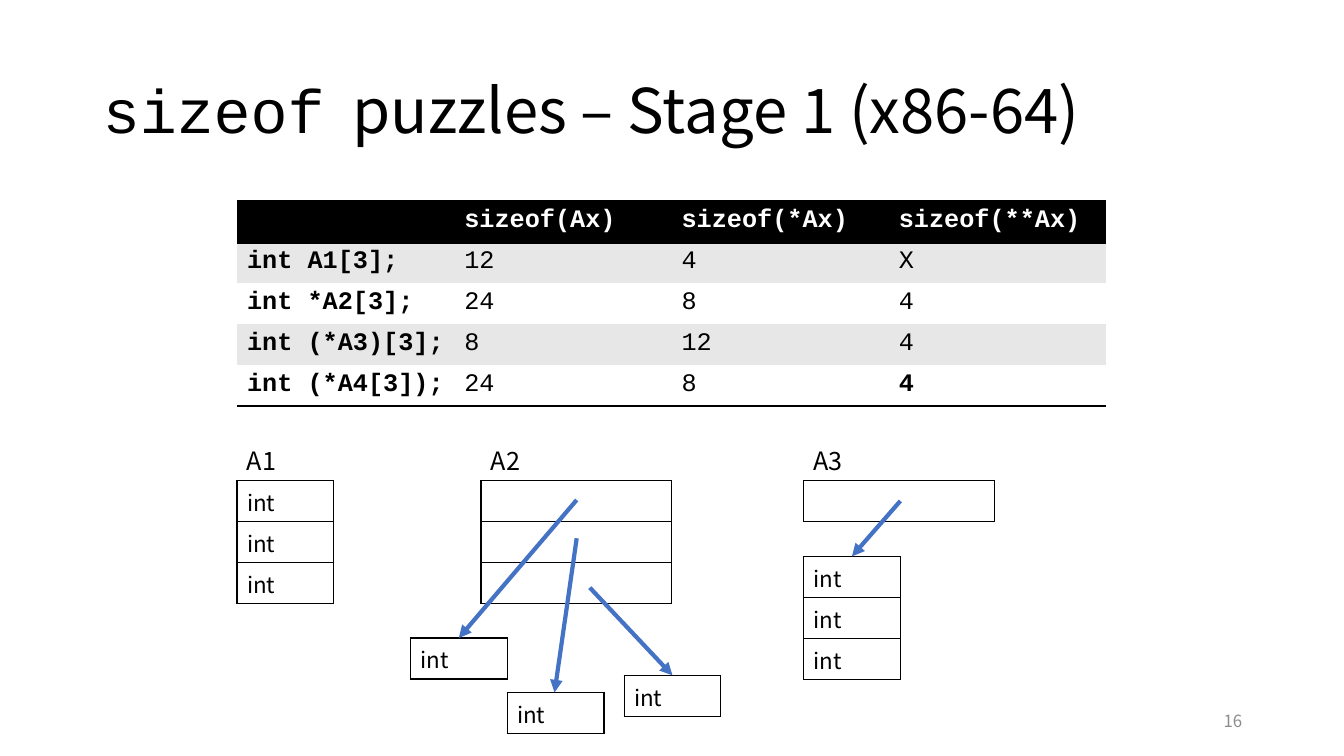
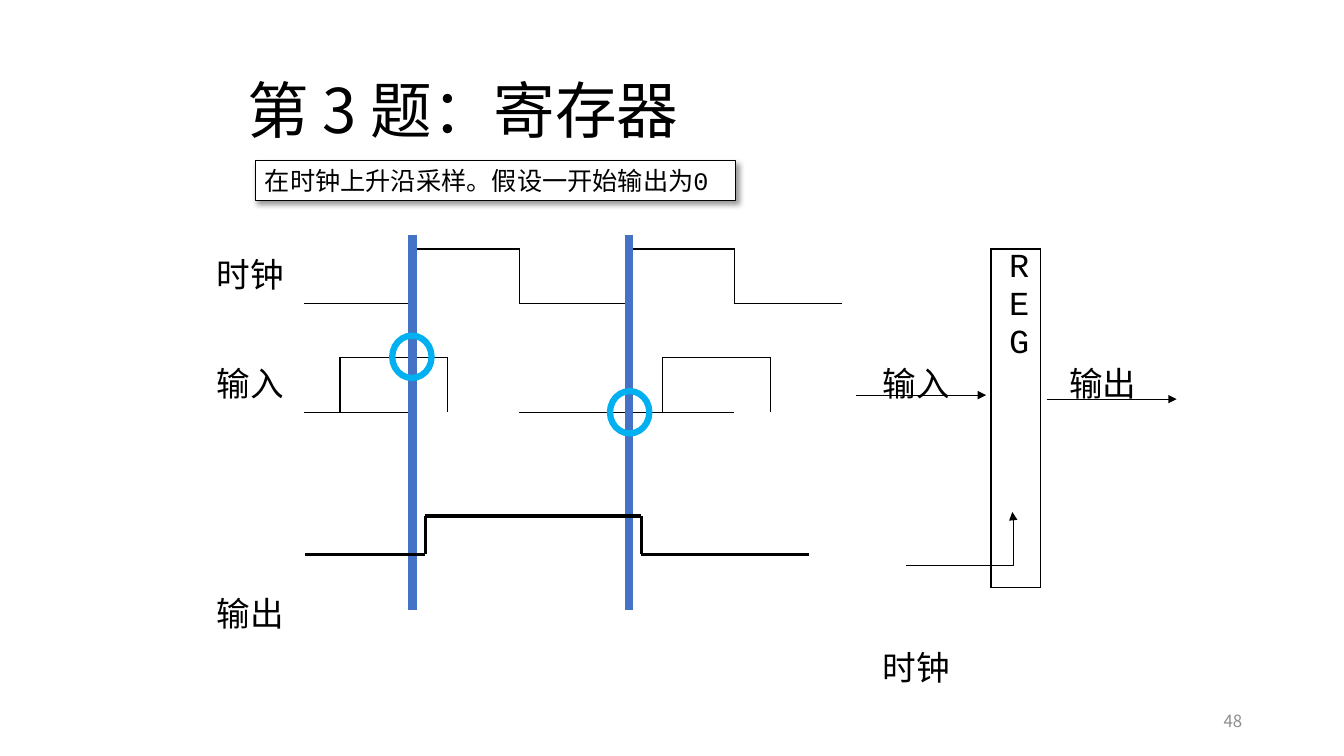
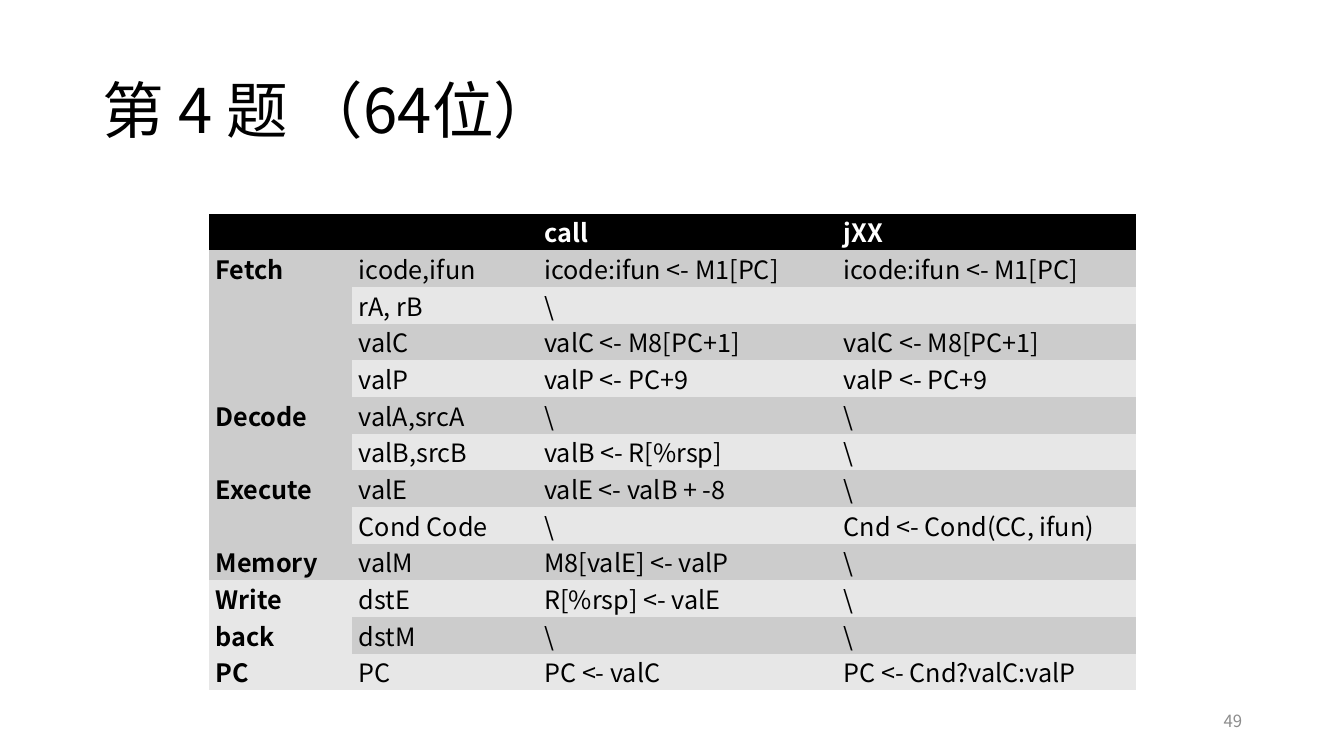
from itertools import pairwise, product

from lxml.etree import SubElement
from pptx import Presentation
from pptx.dml.color import RGBColor
from pptx.enum.shapes import MSO_CONNECTOR as LINK, MSO_SHAPE as SHAPE
from pptx.enum.text import MSO_ANCHOR as ANCHOR, PP_ALIGN as ALIGN
from pptx.oxml.ns import qn
from pptx.oxml.xmlchemy import OxmlElement
from pptx.util import Inches, Pt

SANS, MONO = "Noto Sans CJK SC", "Courier New"
BLACK = RGBColor(0x00, 0x00, 0x00)
WHITE = RGBColor(0xFF, 0xFF, 0xFF)
LIGHT = RGBColor(0xE7, 0xE7, 0xE7)
MEDIUM = RGBColor(0xCC, 0xCC, 0xCC)
GRAY = RGBColor(0x8C, 0x8C, 0x8C)
BLUE = RGBColor(0x44, 0x72, 0xC4)
CYAN = RGBColor(0x00, 0xB0, 0xF0)
SIDES = "LRTB"
NO_STYLE = "{2D5ABB26-0587-4C30-8999-92F81FD0307C}"

SIZEOF_ROWS = [
    ("", "sizeof(Ax)", "sizeof(*Ax)", "sizeof(**Ax)"),
    ("int A1[3];", "12", "4", "X"),
    ("int *A2[3];", "24", "8", "4"),
    ("int (*A3)[3];", "8", "12", "4"),
    ("int (*A4[3]);", "24", "8", "4"),
]
SIZEOF_WIDTH, SIZEOF_HEIGHT = 8.62, 2.03
CELL_HEIGHT = SIZEOF_HEIGHT / len(SIZEOF_ROWS)
INT_WIDTH, POINTER_WIDTH = 0.96, 1.89
ARRAY_LABELS = [("A1", 2.35), ("A2", 4.77), ("A3", 7.97)]
MEMORY_BLOCKS = [
    (2.35, 4.77, INT_WIDTH, ["int"] * 3),
    (4.77, 4.77, POINTER_WIDTH, [""] * 3),
    (4.07, 6.33, INT_WIDTH, ["int"]),
    (5.03, 6.87, INT_WIDTH, ["int"]),
    (6.19, 6.7, INT_WIDTH, ["int"]),
    (7.97, 4.77, POINTER_WIDTH, [""]),
    (7.97, 5.52, INT_WIDTH, ["int"] * 3),
]
POINTERS = [
    ((5.72, 4.96), (4.55, 6.33)),
    ((5.72, 5.34), (5.5, 6.87)),
    ((5.85, 5.83), (6.67, 6.7)),
    ((8.93, 4.97), (8.45, 5.52)),
]

WAVE_WIDTH, REG_WIDTHS, TICKS = 9.61, [1.48, 0.49, 1.24], 3
HALF_CYCLE = (WAVE_WIDTH - sum(REG_WIDTHS)) / 6
TICK_WIDTHS = [HALF_CYCLE / TICKS] * 2 * TICKS
WAVE_WIDTHS = [HALF_CYCLE, *TICK_WIDTHS, HALF_CYCLE, *TICK_WIDTHS, *REG_WIDTHS]
WAVE_ROWS, REG_ROWS, REG_COLUMN = 7, 5, 15
WAVE_TEXT = {
    (0, 0): "时钟", (2, 0): "输入", (5, 0): "输出",
    (2, 14): "输入", (2, 16): "输出", (6, 14): "时钟",
    (0, REG_COLUMN): "R\nE\nG",
}
WAVE_SPANS = {
    0: (1, 4, 8), 1: (1, 4, 8, 11), 3: (1, 4, 8, 11),
    4: (1, 4, 8, 11), 5: (1, 4, 8), 6: (1, 4, 8, 11),
}
WAVE_LEVELS = [
    (1, 1, 4), (0, 4, 7), (1, 7, 8), (0, 8, 11), (1, 11, 14),
    (3, 1, 4), (2, 2, 5), (3, 7, 11), (2, 9, 12),
    (0, 15, 16), (5, 15, 16),
]
WAVE_EDGES = [
    (4, 0, 1), (7, 0, 1), (8, 0, 1), (11, 0, 1),
    (2, 2, 3), (5, 2, 3), (9, 2, 3), (12, 2, 3),
    (15, 0, 5), (16, 0, 5),
]
REG_ARROWS = [
    (LINK.STRAIGHT, (8.49, 3.92), (9.78, 3.92)),
    (LINK.STRAIGHT, (10.38, 3.96), (11.67, 3.96)),
    (LINK.ELBOW, (8.99, 5.61), (10.04, 5.08)),
]
RISING_EDGES = [4.09, 6.24]
OUTPUT_WAVE = [(3.03, 5.5), (4.22, 5.5), (4.22, 5.12), (6.36, 5.12), (6.36, 5.5), (8.02, 5.5)]
SAMPLES = [(3.89, 3.33), (6.05, 3.88)]

STAGE_WIDTHS, STAGE_HEIGHT = [1.42, 1.84, 2.97, 2.97], 4.73
STAGE_ROWS = [
    ("", "", "call", "jXX"),
    ("Fetch", "icode,ifun", "icode:ifun <- M1[PC]", "icode:ifun <- M1[PC]"),
    (None, "rA, rB", "\\", ""),
    (None, "valC", "valC <- M8[PC+1]", "valC <- M8[PC+1]"),
    (None, "valP", "valP <- PC+9", "valP <- PC+9"),
    ("Decode", "valA,srcA", "\\", "\\"),
    (None, "valB,srcB", "valB <- R[%rsp]", "\\"),
    ("Execute", "valE", "valE <- valB + -8", "\\"),
    (None, "Cond Code", "\\", "Cnd <- Cond(CC, ifun)"),
    ("Memory", "valM", "M8[valE] <- valP", "\\"),
    ("Write back", "dstE", "R[%rsp] <- valE", "\\"),
    (None, "dstM", "\\", "\\"),
    ("PC", "PC", "PC <- valC", "PC <- Cnd?valC:valP"),
]


def add_span(para, text, size, font=SANS, color=BLACK, bold=False):
    span = para.add_run()
    span.text = text
    span.font.size = Pt(size)
    span.font.name = font
    span.font.bold = bold
    span.font.color.rgb = color
    SubElement(span.font._element, qn("a:ea")).set("typeface", SANS)


def write(frame, text, size, align=ALIGN.LEFT, **style):
    for index, line in enumerate(text.split("\n")):
        para = frame.add_paragraph() if index else frame.paragraphs[0]
        para.alignment = align
        if line:
            add_span(para, line, size, **style)


def add_text(page, place, text, size, anchor=ANCHOR.TOP, **style):
    box = page.shapes.add_textbox(*map(Inches, place))
    box.text_frame.word_wrap = True
    box.text_frame.vertical_anchor = anchor
    write(box.text_frame, text, size, **style)


def add_page(deck, title_spans, number, left=0.92, width=11.5):
    page = deck.slides.add_slide(deck.slide_layouts[5])
    title = page.shapes.title
    title.left, title.top, title.width, title.height = map(Inches, (left, 0.4, width, 1.45))
    title.text_frame.vertical_anchor = ANCHOR.MIDDLE
    title.text_frame.word_wrap = True
    para = title.text_frame.paragraphs[0]
    para.alignment = ALIGN.LEFT
    para.line_spacing = 0.9
    for text, font in title_spans:
        add_span(para, text, 44, font)
    add_text(page, (9.42, 6.95, 3, 0.4), str(number), 12, ANCHOR.MIDDLE,
             align=ALIGN.RIGHT, color=GRAY)
    return page


def add_grid(page, left, top, widths, row_count, row_height):
    frame = page.shapes.add_table(
        row_count, len(widths), Inches(left), Inches(top),
        Inches(sum(widths)), Inches(row_count * row_height))
    table = frame.table
    table.first_row = table.horz_banding = False
    table._tbl.tblPr.find(qn("a:tableStyleId")).text = NO_STYLE
    for column, width in zip(table.columns, widths):
        column.width = Inches(width)
    for row in table.rows:
        row.height = Inches(row_height)
    for cell in table.iter_cells():
        cell.fill.background()
    return table


def paint(cell, color):
    cell.fill.solid()
    cell.fill.fore_color.rgb = color


def set_margins(cell, side):
    cell.margin_left = cell.margin_right = Inches(side)
    cell.margin_top = cell.margin_bottom = 0


def set_borders(cell, shown, points, listed=None):
    properties = cell._tc.get_or_add_tcPr()
    ordered = [side for side in SIDES if side in (listed or shown)]
    for index, side in enumerate(ordered):
        border = OxmlElement(f"a:ln{side}")
        border.set("w", str(Pt(points)))
        if side in shown:
            fill = SubElement(border, qn("a:solidFill"))
            SubElement(fill, qn("a:srgbClr")).set("val", str(BLACK))
        else:
            SubElement(border, qn("a:noFill"))
        properties.insert(index, border)


def add_line(page, start, end, color, points, arrow=False, kind=LINK.STRAIGHT):
    line = page.shapes.add_connector(kind, *map(Inches, (*start, *end)))
    line.line.color.rgb = color
    line.line.width = Pt(points)
    shape_properties = line._element.spPr
    if arrow:
        SubElement(shape_properties.find(qn("a:ln")), qn("a:tailEnd")).set("type", "triangle")
    if kind == LINK.ELBOW:
        guides = shape_properties.find(qn("a:prstGeom")).find(qn("a:avLst"))
        guide = SubElement(guides, qn("a:gd"))
        guide.set("name", "adj1")
        guide.set("fmla", "val 100800")
    SubElement(shape_properties, qn("a:effectLst"))


def add_outline(page, kind, place, color, points):
    shape = page.shapes.add_shape(kind, *map(Inches, place))
    shape.shadow.inherit = False
    shape.fill.background()
    shape.line.color.rgb = color
    shape.line.width = Pt(points)
    return shape


def build_sizeof(deck):
    page = add_page(deck, [("sizeof", MONO), ("  puzzles – Stage 1 (x86-64)", SANS)], 16)
    last = len(SIZEOF_ROWS) - 1
    table = add_grid(page, 2.35, 2, [SIZEOF_WIDTH / 4] * 4, last + 1, CELL_HEIGHT)
    for r, row in enumerate(SIZEOF_ROWS):
        for c, text in enumerate(row):
            cell = table.cell(r, c)
            paint(cell, BLACK if r == 0 else LIGHT if r % 2 else WHITE)
            write(cell.text_frame, text, 18, font=MONO, color=WHITE if r == 0 else BLACK,
                  bold=r == 0 or c == 0 or (r, c) == (last, 3))
            set_borders(cell, {0: "TB", last: "B"}.get(r, ""), 2)
    for left, top, width, values in MEMORY_BLOCKS:
        block = add_grid(page, left, top, [width], len(values), CELL_HEIGHT)
        for cell, value in zip(block.iter_cells(), values):
            write(cell.text_frame, value, 16)
            set_borders(cell, SIDES, 1)
    for label, left in ARRAY_LABELS:
        add_text(page, (left, 4.37, 1.11, 0.4), label, 18)
    for start, end in POINTERS:
        add_line(page, start, end, BLUE, 3, arrow=True)


def draw_waves(table):
    levels = {(line, c) for line, first, end in WAVE_LEVELS for c in range(first, end)}
    edges = {(line, r) for line, first, end in WAVE_EDGES for r in range(first, end)}
    regions = [(row, left, row + 1, left + TICKS)
               for row, starts in WAVE_SPANS.items() for left in starts]
    regions.append((0, REG_COLUMN, REG_ROWS, REG_COLUMN + 1))
    region_of = {place: region for region in regions
                 for place in product(range(region[0], region[2]), range(region[1], region[3]))}
    for row, column in product(range(WAVE_ROWS), range(len(WAVE_WIDTHS))):
        region = region_of.get((row, column), (row, column, row + 1, column + 1))
        top, left, bottom, right = region
        drawn = {"L": (left, top) in edges, "R": (right, top) in edges,
                 "T": (top, left) in levels, "B": (bottom, left) in levels}
        cell = table.cell(row, column)
        set_margins(cell, 0)
        set_borders(cell, [side for side in SIDES if drawn[side]], 1, SIDES)
    for top, left, bottom, right in regions:
        table.cell(top, left).merge(table.cell(bottom - 1, right - 1))


def build_register(deck):
    page = add_page(deck, [("第 3 题：寄存器", SANS)], 48, 2.35, 8.62)
    table = add_grid(page, 1.95, 2.47, WAVE_WIDTHS, WAVE_ROWS, 0.54)
    draw_waves(table)
    for place, text in WAVE_TEXT.items():
        write(table.cell(*place).text_frame, text, 24, ALIGN.CENTER, font=MONO)
    for para in table.cell(0, REG_COLUMN).text_frame.paragraphs:
        para._p.get_or_add_pPr().set("indent", str(Inches(0.07)))

    for kind, start, end in REG_ARROWS:
        add_line(page, start, end, BLACK, 0.5, arrow=True, kind=kind)
    note = add_outline(page, SHAPE.RECTANGLE, (2.53, 1.59, 4.77, 0.4), BLACK, 0.75)
    note.fill.solid()
    note.fill.fore_color.rgb = WHITE
    note.text_frame.word_wrap = True
    note.text_frame.vertical_anchor = ANCHOR.TOP
    write(note.text_frame, "在时钟上升沿采样。假设一开始输出为0", 18, font=MONO)
    shadow = SubElement(note._element.spPr.find(qn("a:effectLst")), qn("a:outerShdw"))
    for name, value in (("blurRad", Pt(4)), ("dist", Pt(3)), ("dir", 45 * 60000)):
        shadow.set(name, str(value))
    tint = SubElement(shadow, qn("a:srgbClr"))
    tint.set("val", str(BLACK))
    SubElement(tint, qn("a:alpha")).set("val", "40000")

    for x in RISING_EDGES:
        add_line(page, (x, 2.33), (x, 6.05), BLUE, 6)
    for start, end in pairwise(OUTPUT_WAVE):
        add_line(page, start, end, BLACK, 2.25)
    for left, top in SAMPLES:
        add_outline(page, SHAPE.OVAL, (left, top, 0.39, 0.42), CYAN, 4.5)


def build_stages(deck):
    page = add_page(deck, [("第 4 题 （64位）", SANS)], 49)
    table = add_grid(page, 2.07, 2.12, STAGE_WIDTHS, len(STAGE_ROWS),
                     STAGE_HEIGHT / len(STAGE_ROWS))
    stage_row = 0
    for r, row in enumerate(STAGE_ROWS):
        if row[0] is not None:
            stage_row = r
        for c, text in enumerate(row):
            cell = table.cell(r, c)
            set_margins(cell, 0.07)
            shade_row = r if c else stage_row
            paint(cell, BLACK if r == 0 else MEDIUM if shade_row % 2 else LIGHT)
            if text:
                write(cell.text_frame, text, 18, ALIGN.JUSTIFY,
                      color=WHITE if r == 0 else BLACK, bold=r == 0 or c == 0)
    starts = [r for r, row in enumerate(STAGE_ROWS) if row[0] is not None]
    for start, following in pairwise([*starts, len(STAGE_ROWS)]):
        if following - start > 1:
            table.cell(start, 0).merge(table.cell(following - 1, 0))


def main():
    deck = Presentation()
    deck.slide_width, deck.slide_height = Inches(13.33), Inches(7.5)
    for build in (build_sizeof, build_register, build_stages):
        build(deck)
    deck.save("out.pptx")


if __name__ == "__main__":
    main()
